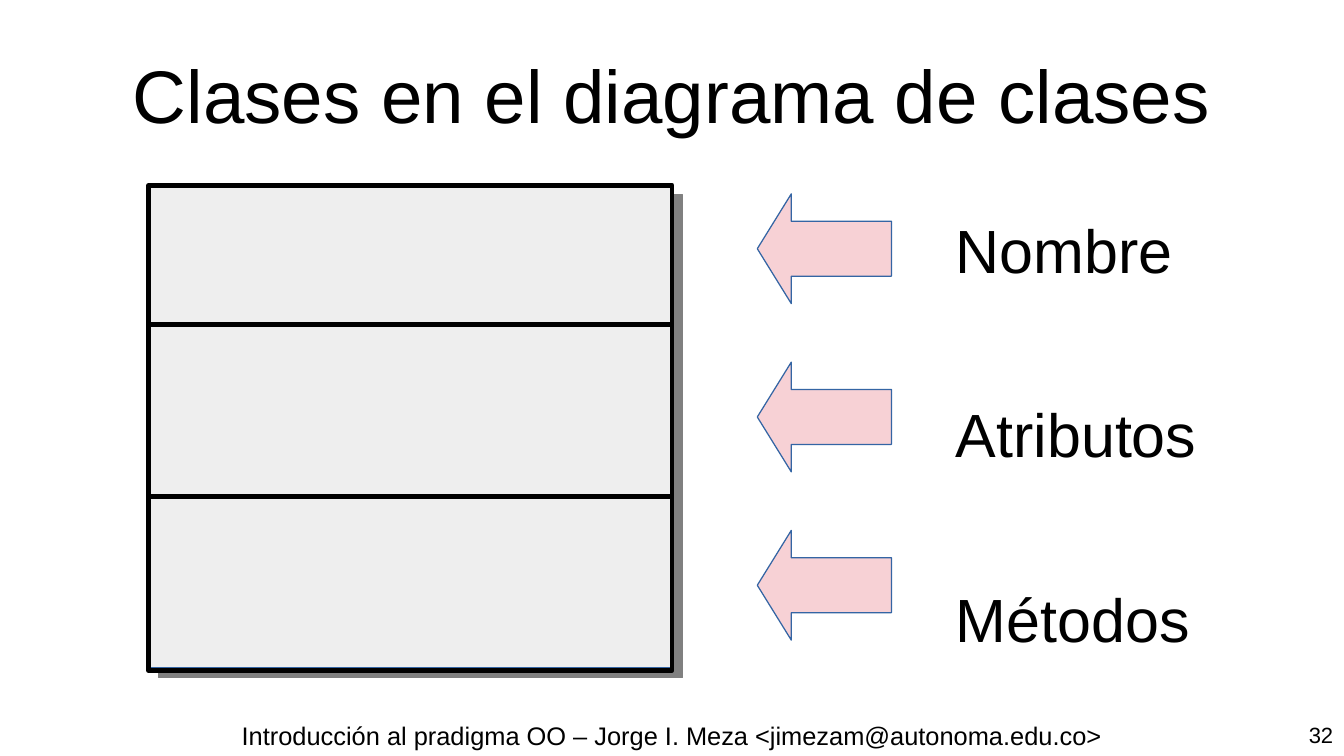
from dataclasses import dataclass
from typing import Optional

from lxml.etree import SubElement
from pptx import Presentation
from pptx.dml.color import RGBColor
from pptx.enum.shapes import MSO_SHAPE
from pptx.enum.text import MSO_ANCHOR, PP_ALIGN
from pptx.oxml.ns import qn
from pptx.shapes.autoshape import Shape
from pptx.slide import Slide
from pptx.text.text import TextFrame
from pptx.util import Inches, Pt


@dataclass
class Box:
    left: float
    top: float
    width: float
    height: float


@dataclass
class Label:
    box: Box
    lines: list[str]
    size: int
    align: PP_ALIGN
    wrap: bool = True
    gap: int = 0


BLACK = "000000"
ARROW_LINE = "3465A4"
CLASS_LEFT, CLASS_TOP, CLASS_WIDTH = 1.22, 1.52, 4.29
COMPARTMENT_HEIGHTS = [1.14, 1.41, 1.43]
ARROW_TOP, ARROW_STEP, ARROW_COUNT = 1.59, 1.38, 3

LABELS = [
    Label(Box(1.08, 5.86, 8.86, 0.38),
          ["Introducción al pradigma OO – Jorge I. Meza <jimezam@autonoma.edu.co>"],
          15, PP_ALIGN.CENTER),
    Label(Box(10.01, 5.87, 1.02, 0.37), ["32"], 13, PP_ALIGN.RIGHT, wrap=False),
    Label(Box(7.74, 1.69, 3.64, 3.98), ["Nombre", "Atributos", "Métodos"],
          36, PP_ALIGN.LEFT, gap=66),
]


def color(value: str) -> RGBColor:
    return RGBColor.from_string(value)


def place(shape: Shape, box: Box) -> None:
    for name in ("left", "top", "width", "height"):
        setattr(shape, name, Inches(getattr(box, name)))


def write(frame: TextFrame, lines: list[str], size: int, align: PP_ALIGN, gap: int = 0) -> None:
    font_format = {"name": "Arial", "size": Pt(size), "bold": False}
    for index, line in enumerate(lines):
        paragraph = frame.add_paragraph() if index else frame.paragraphs[0]
        paragraph.text = line
        paragraph.alignment = align
        paragraph.space_before = Pt(gap if index else 0)
        for name, value in font_format.items():
            setattr(paragraph.font, name, value)
        paragraph.font.color.rgb = color(BLACK)


def add_label(slide: Slide, label: Label) -> None:
    box = label.box
    shape = slide.shapes.add_textbox(Inches(box.left), Inches(box.top),
                                     Inches(box.width), Inches(box.height))
    shape.text_frame.word_wrap = label.wrap
    write(shape.text_frame, label.lines, label.size, label.align, label.gap)


def add_figure(slide: Slide, kind: MSO_SHAPE, box: Box, fill: Optional[str],
               line: str, line_width: float) -> Shape:
    shape = slide.shapes.add_shape(kind, Inches(box.left), Inches(box.top),
                                   Inches(box.width), Inches(box.height))
    shape.shadow.inherit = False
    if fill:
        shape.fill.solid()
        shape.fill.fore_color.rgb = color(fill)
    else:
        shape.fill.background()
    shape.line.color.rgb = color(line)
    shape.line.width = Pt(line_width)
    return shape


def add_shadow(shape: Shape, value: str) -> None:
    effects = shape._element.spPr.find(qn("a:effectLst"))
    shadow = SubElement(effects, qn("a:outerShdw"), blurRad="0", dist=str(Pt(8)),
                        dir=str(45 * 60000), algn="tl", rotWithShape="0")
    SubElement(shadow, qn("a:srgbClr"), val=value)


def main() -> None:
    presentation = Presentation()
    presentation.slide_width = Inches(11.02)
    presentation.slide_height = Inches(6.2)
    slide = presentation.slides.add_slide(presentation.slide_layouts[5])

    # Title
    title = slide.shapes.title
    place(title, Box(0.55, 0.25, 9.92, 1.04))
    frame_format = {"margin_left": 0, "margin_right": 0, "margin_top": 0, "margin_bottom": 0,
                    "vertical_anchor": MSO_ANCHOR.MIDDLE, "word_wrap": True}
    for name, value in frame_format.items():
        setattr(title.text_frame, name, value)
    write(title.text_frame, ["Clases en el diagrama de clases"], 44, PP_ALIGN.CENTER)

    # Class box with its three compartments
    backdrop = add_figure(slide, MSO_SHAPE.RECTANGLE,
                          Box(CLASS_LEFT, CLASS_TOP, 4.3, 3.96), "EEEEEE", ARROW_LINE, 0)
    add_shadow(backdrop, "808080")
    top = CLASS_TOP
    for height in COMPARTMENT_HEIGHTS:
        compartment = add_figure(slide, MSO_SHAPE.RECTANGLE,
                                 Box(CLASS_LEFT, top, CLASS_WIDTH, height), None, BLACK, 2.83)
        SubElement(compartment.line._get_or_add_ln(), qn("a:round"))
        top += height

    # Labels, footer and page number
    for label in LABELS:
        add_label(slide, label)

    # Arrows pointing at the compartments
    for index in range(ARROW_COUNT):
        box = Box(6.21, ARROW_TOP + index * ARROW_STEP, 1.1, 0.9)
        arrow = add_figure(slide, MSO_SHAPE.LEFT_ARROW, box, "F7D1D5", ARROW_LINE, 0)
        arrow.adjustments[0] = 0.5
        arrow.adjustments[1] = 0.31

    presentation.save("out.pptx")


if __name__ == "__main__":
    main()
